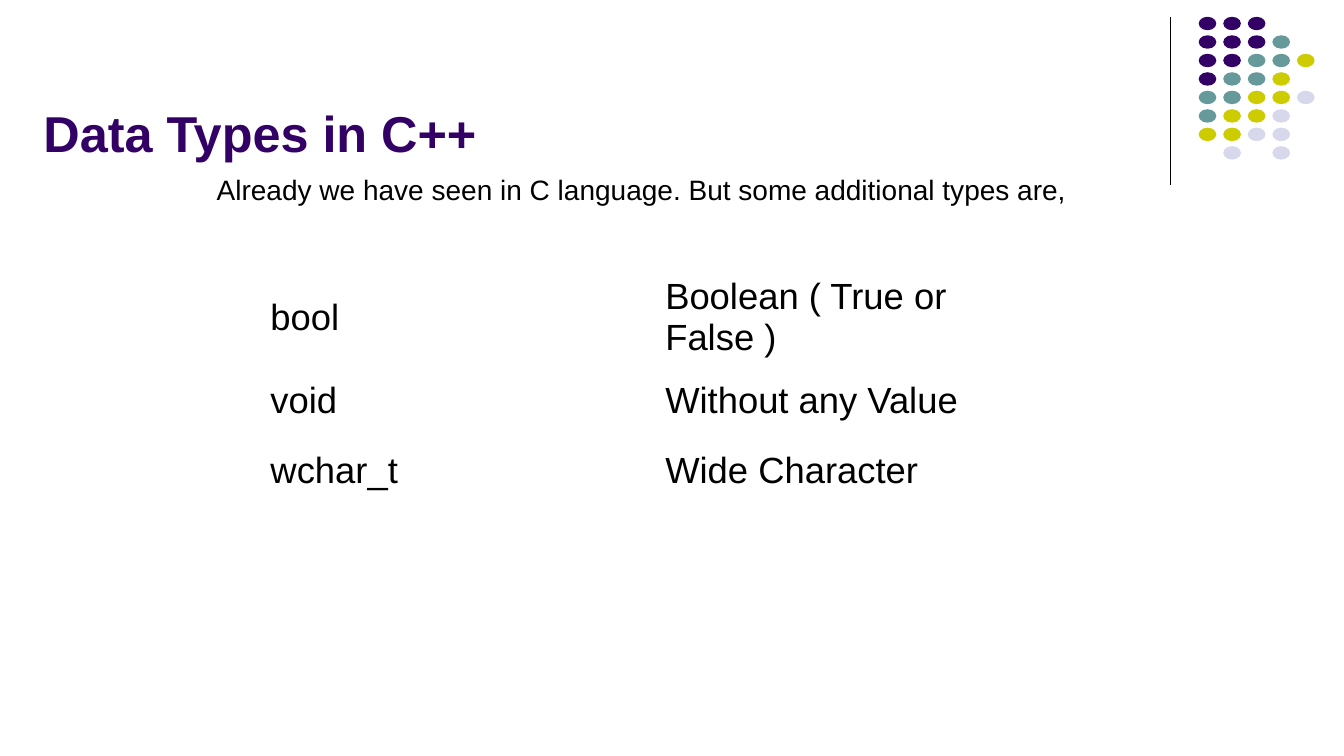
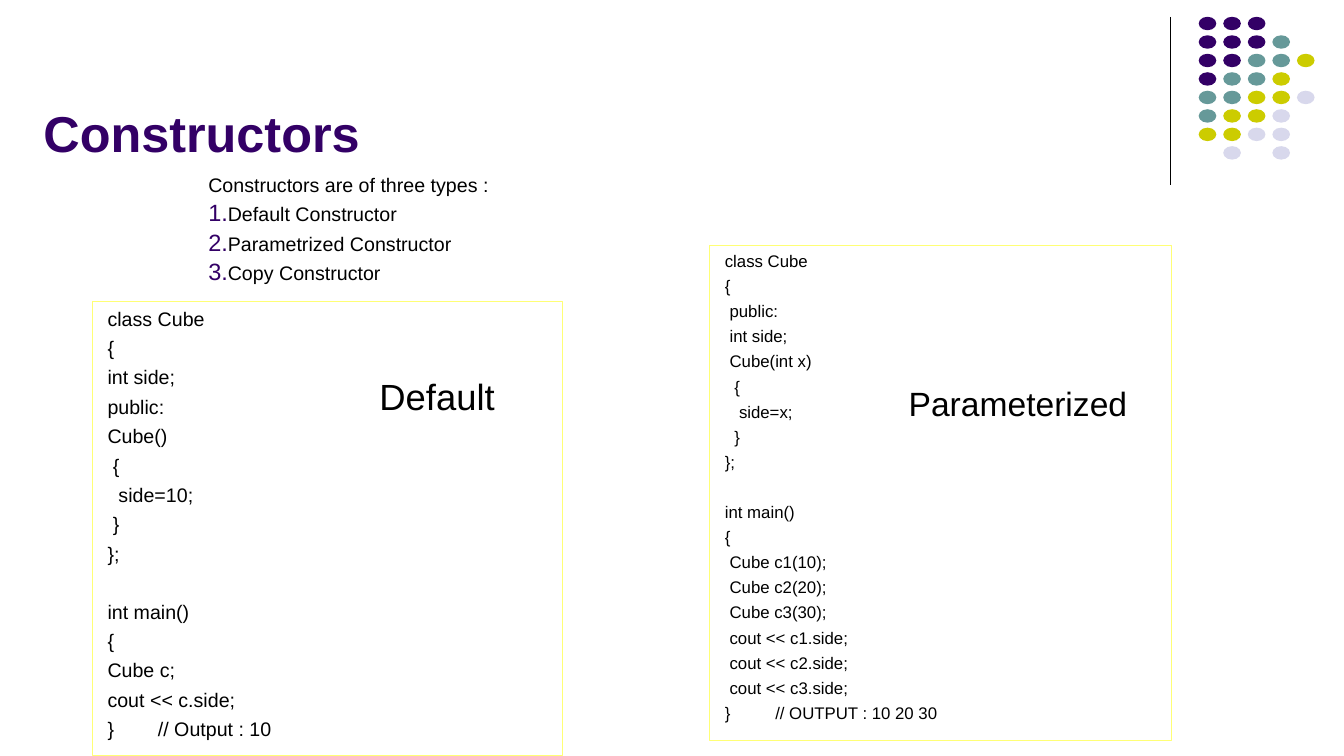
from lxml import etree
from pptx import Presentation
from pptx.dml.color import RGBColor
from pptx.enum.shapes import MSO_CONNECTOR, MSO_SHAPE
from pptx.enum.text import MSO_ANCHOR, PP_ALIGN
from pptx.oxml.ns import qn
from pptx.util import Pt

EMU_PER_PX = 7620  # 120 px to the inch
SLIDE_SIZE = (1600, 900)
FONT = "Arial"
COLORS = {
    "purple": "330066",
    "teal": "669999",
    "olive": "CCCC00",
    "lavender": "D8D8EC",
    "yellow": "FFFF75",
    "black": "000000",
}
RECTANGLE, OVAL = MSO_SHAPE.RECTANGLE, MSO_SHAPE.OVAL
STRAIGHT = MSO_CONNECTOR.STRAIGHT
TOP, MIDDLE, BOTTOM = MSO_ANCHOR.TOP, MSO_ANCHOR.MIDDLE, MSO_ANCHOR.BOTTOM
LEFT = PP_ALIGN.LEFT

TITLE_BOX = (40, 30, 1346, 170)
DOTS_BOX = (1427, 20, 138, 170)
DOT_SIZE = (21, 16)
DOT_ROWS = ["PPP", "PPPT", "PPTTO", "PTTO", "TTOOL", "TOOL", "OOLL", " L L"]
DOT_COLORS = {"P": "purple", "T": "teal", "O": "olive", "L": "lavender"}

LINE_HEIGHT = 1.15  # of the text size
PARAGRAPH_GAP = 0.3
SPACE_WIDTH = 0.28
INSET, BODY_INSET = 12, 18

DATA_TYPES = [
    ("bool", "Boolean ( True or False )"),
    ("void", "Without any Value"),
    ("wchar_t", "Wide Character"),
]
CONSTRUCTOR_TYPES = [
    "Default Constructor",
    "Parametrized Constructor",
    "Copy Constructor",
]
DEFAULT_CODE = """class Cube
{
int side;
public:
Cube()
 {
  side=10;
 }
};

int main()
{
Cube c;
cout << c.side;
}\t// Output : 10"""
PARAMETERIZED_CODE = """class Cube
{
 public:
 int side;
 Cube(int x)
  {
   side=x;
  }
};

int main()
{
 Cube c1(10);
 Cube c2(20);
 Cube c3(30);
 cout << c1.side;
 cout << c2.side;
 cout << c3.side;
}\t// OUTPUT : 10 20 30"""


def px(length):
    return round(length * EMU_PER_PX)


def color(name):
    return RGBColor.from_string(COLORS[name])


def write_text(frame, lines, *, size, ink="black", bold=False, anchor=TOP,
               inset=INSET, numbered_from=None, tab=None):
    """Leading spaces become indents; an empty line becomes space before the next."""
    frame.word_wrap = True
    frame.vertical_anchor = anchor
    frame.margin_left, frame.margin_right = px(inset), px(INSET)
    frame.margin_top = frame.margin_bottom = px(6)
    paragraph, gap = None, 0
    for index, line in enumerate(lines):
        if not line:
            gap += LINE_HEIGHT + PARAGRAPH_GAP
            continue
        paragraph = frame.add_paragraph() if paragraph else frame.paragraphs[0]
        paragraph.alignment = LEFT
        paragraph.space_before = Pt(size * gap)
        gap = PARAGRAPH_GAP
        content = line.lstrip(" ")
        run = paragraph.add_run()
        run.text = content
        run.font.name, run.font.size, run.font.bold = FONT, Pt(size), bold
        run.font.color.rgb = color(ink)
        properties = paragraph._p.get_or_add_pPr()
        depth = len(line) - len(content)
        properties.set("marL", str(int(Pt(depth * size * SPACE_WIDTH))))
        properties.set("indent", "0")
        if numbered_from is not None and index >= numbered_from:
            add_number(properties)
        if tab and "\t" in content:
            stops = etree.SubElement(properties, qn("a:tabLst"))
            etree.SubElement(stops, qn("a:tab"), pos=str(px(tab)), algn="l")


def add_number(properties):
    bullet_color = etree.SubElement(properties, qn("a:buClr"))
    etree.SubElement(bullet_color, qn("a:srgbClr"), val=COLORS["purple"])
    etree.SubElement(properties, qn("a:buSzPct"), val="120000")
    etree.SubElement(properties, qn("a:buFont"), typeface=FONT)
    etree.SubElement(properties, qn("a:buAutoNum"), type="arabicPeriod")


def add_text(slide, box, lines, **text_format):
    text_box = slide.shapes.add_textbox(*map(px, box))
    write_text(text_box.text_frame, lines, **text_format)


def add_dots(slide, box):
    left, top, width, height = box
    dot_width, dot_height = DOT_SIZE
    column_step = (width - dot_width) / (max(map(len, DOT_ROWS)) - 1)
    row_step = (height - dot_height) / (len(DOT_ROWS) - 1)
    group = slide.shapes.add_group_shape()
    for row, letters in enumerate(DOT_ROWS):
        for column, letter in enumerate(letters):
            if letter == " ":
                continue
            dot = group.shapes.add_shape(
                OVAL, px(left + column * column_step), px(top + row * row_step),
                px(dot_width), px(dot_height))
            dot.shadow.inherit = False
            dot.fill.solid()
            dot.fill.fore_color.rgb = color(DOT_COLORS[letter])
            dot.line.fill.background()


def add_rule(slide, x, top, bottom):
    rule = slide.shapes.add_connector(STRAIGHT, px(x), px(top), px(x), px(bottom))
    rule.line.color.rgb = color("black")
    rule.line.width = Pt(0.75)
    etree.SubElement(rule._element.spPr, qn("a:effectLst"))


def add_titled_slide(presentation, title):
    slide = presentation.slides.add_slide(presentation.slide_layouts[6])
    add_rule(slide, 1393, 20, 220)
    add_dots(slide, DOTS_BOX)
    add_text(slide, TITLE_BOX, [title], size=36, ink="purple", bold=True,
             anchor=BOTTOM)
    return slide


def add_type_table(slide, box, rows):
    frame = slide.shapes.add_table(len(rows), len(rows[0]), *map(px, box))
    table = frame.table
    table.first_row = table.horz_banding = False
    for row, values in enumerate(rows):
        for column, value in enumerate(values):
            cell = table.cell(row, column)
            cell.fill.background()
            write_text(cell.text_frame, [value], size=26)
            cell.margin_left = cell.margin_right = px(INSET)
            cell.margin_top = cell.margin_bottom = px(6)
            cell.vertical_anchor = MIDDLE


def add_code_panel(slide, box, code, *, size, tab, label, label_box, label_size):
    """label_box is relative to the panel's corner."""
    left, top, width, height = box
    panel = slide.shapes.add_shape(RECTANGLE, *map(px, box))
    panel.shadow.inherit = False
    panel.fill.background()
    panel.line.color.rgb = color("yellow")
    panel.line.width = Pt(0.75)
    write_text(panel.text_frame, code.splitlines(), size=size, inset=BODY_INSET,
               tab=tab)
    label_left, label_top, label_width, label_height = label_box
    add_text(slide, (left + label_left, top + label_top, label_width, label_height),
             [label], size=label_size)


def build_data_types(presentation):
    slide = add_titled_slide(presentation, "Data Types in C++")
    add_text(slide, (240, 200, 1130, 100),
             ["Already we have seen in C language. But some additional types are,"],
             size=20, inset=BODY_INSET)
    add_type_table(slide, (310, 320, 940, 250), DATA_TYPES)


def build_constructors(presentation):
    slide = add_titled_slide(presentation, "Constructors")
    add_text(slide, (230, 200, 1140, 160),
             ["Constructors are of three types :", *CONSTRUCTOR_TYPES],
             size=14, inset=BODY_INSET, numbered_from=1)
    add_code_panel(slide, (110, 359, 560, 540), DEFAULT_CODE, size=14, tab=286,
                   label="Default", label_box=(330, 81, 230, 65), label_size=26)
    add_code_panel(slide, (845, 292, 550, 590), PARAMETERIZED_CODE, size=12,
                   tab=272, label="Parameterized", label_box=(225, 158, 290, 113),
                   label_size=24)


def main():
    presentation = Presentation()
    presentation.slide_width, presentation.slide_height = map(px, SLIDE_SIZE)
    build_data_types(presentation)
    build_constructors(presentation)
    presentation.save("out.pptx")


if __name__ == "__main__":
    main()
